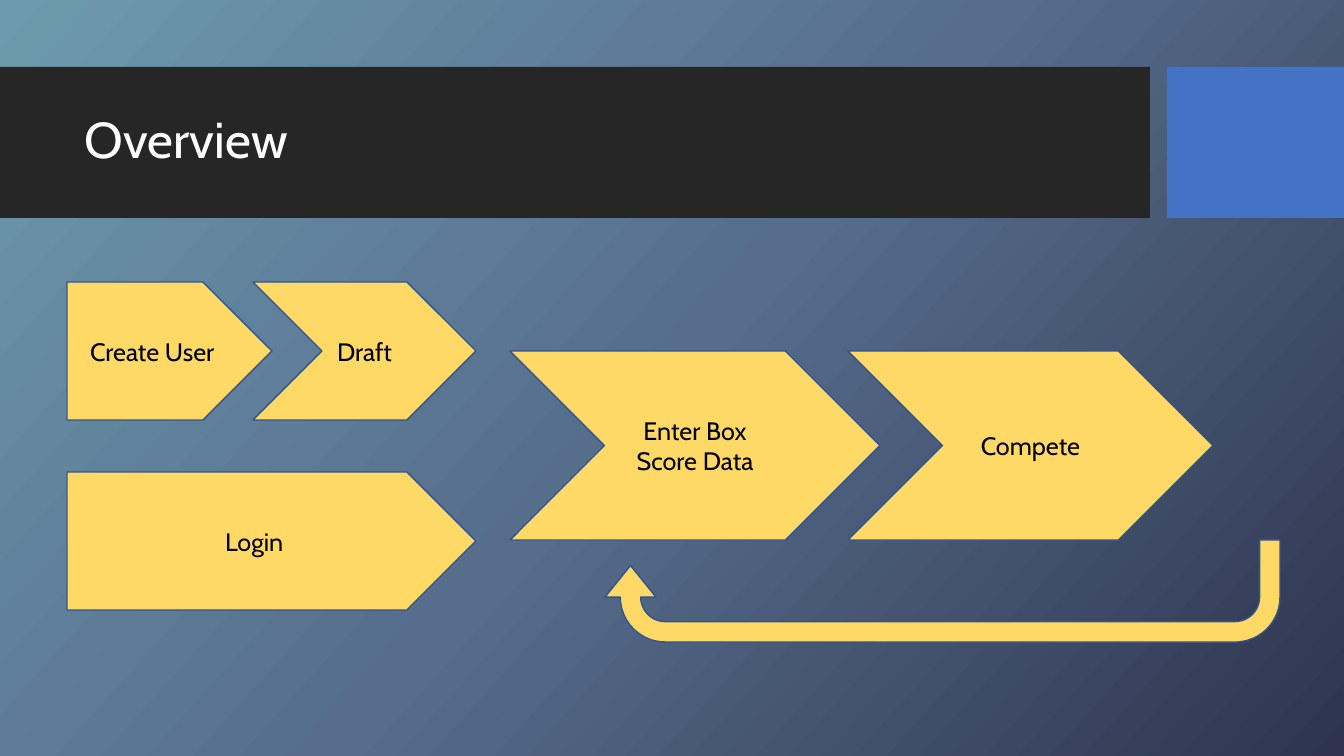
from copy import deepcopy
from dataclasses import dataclass

from pptx import Presentation
from pptx.dml.color import RGBColor as RGB
from pptx.enum.shapes import MSO_SHAPE as SHAPE
from pptx.enum.text import MSO_ANCHOR as ANCHOR, PP_ALIGN as ALIGN
from pptx.oxml.ns import qn
from pptx.util import Emu, Pt

SLIDE_W, SLIDE_H = 1344, 756
EMU_PER_PX = 12192000 / SLIDE_W


@dataclass(frozen=True)
class Theme:
    """Colours, font and type sizes of the slide."""
    font: str = "Cabin"
    title_size: int = 36
    label_size: int = 18
    title: str = "FFFFFF"
    label: str = "000000"
    band: str = "262626"
    accent: str = "4472C4"
    step: str = "FFD966"
    outline: str = "325491"
    backdrop: tuple = ((0, "6D9AAE"), (0.5, "566D8C"), (1, "2E344E"))
    backdrop_angle: int = 42


THEME = Theme()


def px(*lengths):
    """Turn pixel lengths into a list of EMU lengths."""
    return [Emu(round(n * EMU_PER_PX)) for n in lengths]


def apply(obj, values):
    """Set the attributes of an object from a dict."""
    for name, value in values.items():
        setattr(obj, name, value)


def paint_background(s):
    """Fill the slide background with the theme gradient."""
    fill = s.background.fill
    fill.gradient()
    fill.gradient_angle = 360 - THEME.backdrop_angle
    stops = s.element.find(".//" + qn("a:gsLst"))
    stops.append(deepcopy(stops[-1]))
    for stop, (position, color) in zip(fill.gradient_stops, THEME.backdrop):
        stop.position = position
        stop.color.rgb = RGB.from_string(color)


def write(sp, text, size, color, align, spacing=None):
    """Put one middle-anchored paragraph in a shape."""
    tf = sp.text_frame
    apply(tf, {"word_wrap": True, "vertical_anchor": ANCHOR.MIDDLE})
    p = tf.paragraphs[0]
    apply(p, {"alignment": align, "line_spacing": spacing})
    r = p.add_run()
    r.text = text
    apply(r.font, {"name": THEME.font, "size": Pt(size)})
    r.font.color.rgb = RGB.from_string(color)


def add_block(s, kind, box, color):
    """Add a flat filled shape without outline or shadow."""
    sp = s.shapes.add_shape(kind, *px(*box))
    sp.shadow.inherit = False
    sp.fill.solid()
    sp.fill.fore_color.rgb = RGB.from_string(color)
    sp.line.fill.background()
    return sp


def add_step(s, kind, box, text=None):
    """Add an outlined process shape with an optional label."""
    sp = add_block(s, kind, box, THEME.step)
    sp.line.color.rgb = RGB.from_string(THEME.outline)
    sp.line.width = Pt(1)
    if text:
        write(sp, text, THEME.label_size, THEME.label, ALIGN.CENTER)
    return sp


def add_title(s, text, box):
    """Add the slide title."""
    sp = s.shapes.add_textbox(*px(*box))
    write(sp, text, THEME.title_size, THEME.title, ALIGN.LEFT, 0.9)


def add_return_arrow(s, box):
    """Add the arrow that leads back to an earlier step."""
    sp = add_step(s, SHAPE.U_TURN_ARROW, box)
    sp.rotation = 180
    for i, value in enumerate((0.2, 0.25, 0.31, 0.44, 0.75)):
        sp.adjustments[i] = value


def main():
    """Build and save the overview slide."""
    prs = Presentation()
    prs.slide_width, prs.slide_height = px(SLIDE_W, SLIDE_H)
    s = prs.slides.add_slide(prs.slide_layouts[6])
    paint_background(s)

    add_block(s, SHAPE.RECTANGLE, (0, 67, 1150, 151), THEME.band)
    add_block(s, SHAPE.RECTANGLE, (1167, 67, 177, 151), THEME.accent)
    add_title(s, "Overview", (75, 83, 1059, 119))

    steps = (
        (SHAPE.PENTAGON, (67, 472, 409, 138), "Login"),
        (SHAPE.CHEVRON, (510, 351, 370, 189), "Enter Box Score Data"),
        (SHAPE.CHEVRON, (848, 351, 365, 189), "Compete"),
        (SHAPE.PENTAGON, (67, 282, 205, 138), "Create User"),
        (SHAPE.CHEVRON, (253, 282, 223, 138), "Draft"),
    )
    for kind, box, text in steps:
        add_step(s, kind, box, text)
    add_return_arrow(s, (605, 540, 675, 102))

    prs.save("out.pptx")


if __name__ == "__main__":
    main()
